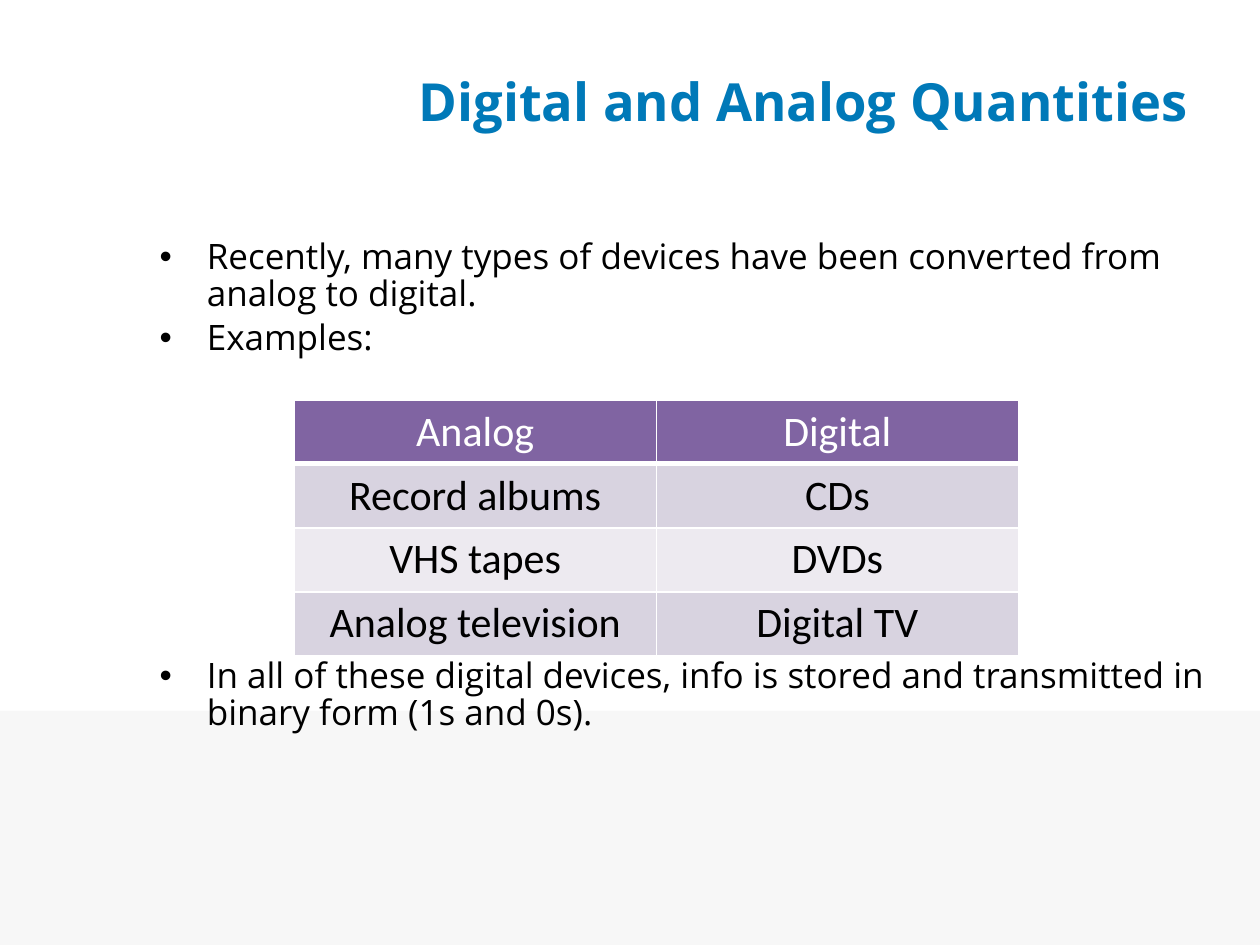
from lxml import etree
from pptx import Presentation
from pptx.dml.color import RGBColor
from pptx.enum.shapes import MSO_SHAPE as Shape
from pptx.enum.text import MSO_ANCHOR as Anchor, PP_ALIGN as Align
from pptx.oxml.ns import qn
from pptx.util import Cm, Pt

COLORS = {
    "title": "0079B8",
    "text": "000000",
    "white": "FFFFFF",
    "footer": "F7F7F7",
    "header": "8064A2",
    "odd_row": "D8D3E0",
    "even_row": "EDEAF0",
}


def write(para, text, font="Open Sans", size=20, color="text", bold=False,
          align=Align.LEFT, bullet=False, before=0, spacing=None):
    if bullet:
        props = para._p.get_or_add_pPr()
        props.set("marL", str(Cm(0.95)))
        props.set("indent", str(-Cm(0.95)))
        etree.SubElement(props, qn("a:buFont")).set("typeface", "Arial")
        etree.SubElement(props, qn("a:buChar")).set("char", "•")
    para.alignment = align
    para.space_before = Pt(before)
    if spacing:
        para.line_spacing = spacing
    span = para.add_run()
    span.text = text
    span.font.name = font
    span.font.size = Pt(size)
    span.font.bold = bold
    span.font.color.rgb = RGBColor.from_string(COLORS[color])


def add_border(cell, side, width):
    line = etree.SubElement(cell._tc.get_or_add_tcPr(), qn(f"a:ln{side}"))
    line.set("w", str(Pt(width)))
    fill = etree.SubElement(line, qn("a:solidFill"))
    etree.SubElement(fill, qn("a:srgbClr")).set("val", COLORS["white"])


deck = Presentation()
deck.slide_width, deck.slide_height = Cm(25.4), Cm(19.05)
page = deck.slides.add_slide(deck.slide_layouts[6])

# Footer band
band = page.shapes.add_shape(Shape.RECTANGLE, 0, Cm(14.33), Cm(25.4), Cm(4.72))
band.shadow.inherit = False
band.fill.solid()
band.fill.fore_color.rgb = RGBColor.from_string(COLORS["footer"])
band.line.fill.background()

# Bullets, with room for the table before the last one
bullets = [
    ("Recently, many types of devices have been converted from analog to digital.", 0),
    ("Examples:", 4),
    ("In all of these digital devices, info is stored and transmitted in "
     "binary form (1s and 0s).", 172),
]
body = page.shapes.add_textbox(Cm(2.97), Cm(4.72), Cm(21.65), Cm(11.6)).text_frame
body.word_wrap = True
for index, (text, before) in enumerate(bullets):
    para = body.add_paragraph() if index else body.paragraphs[0]
    write(para, text, bullet=True, before=before, spacing=0.88)

# Table of examples
rows = [
    ("Analog", "Digital"),
    ("Record albums", "CDs"),
    ("VHS tapes", "DVDs"),
    ("Analog television", "Digital TV"),
]
table = page.shapes.add_table(len(rows), 2, Cm(5.93), Cm(8.06), Cm(14.6), Cm(5.16)).table
for row_index, row in enumerate(rows):
    is_header = row_index == 0
    fill = "header" if is_header else "odd_row" if row_index % 2 else "even_row"
    for column_index, text in enumerate(row):
        cell = table.cell(row_index, column_index)
        for side in "LRTB":
            add_border(cell, side, 3 if is_header and side == "B" else 1)
        cell.fill.solid()
        cell.fill.fore_color.rgb = RGBColor.from_string(COLORS[fill])
        write(cell.text_frame.paragraphs[0], text, font="Calibri", size=24,
              color="white" if is_header else "text", align=Align.CENTER)

# Title
title = page.shapes.add_textbox(Cm(6.99), Cm(1.07), Cm(18.41), Cm(1.9)).text_frame
title.word_wrap = True
title.vertical_anchor = Anchor.MIDDLE
write(title.paragraphs[0], "Digital and Analog Quantities", size=30,
      color="title", bold=True, align=Align.CENTER)

deck.save("out.pptx")
